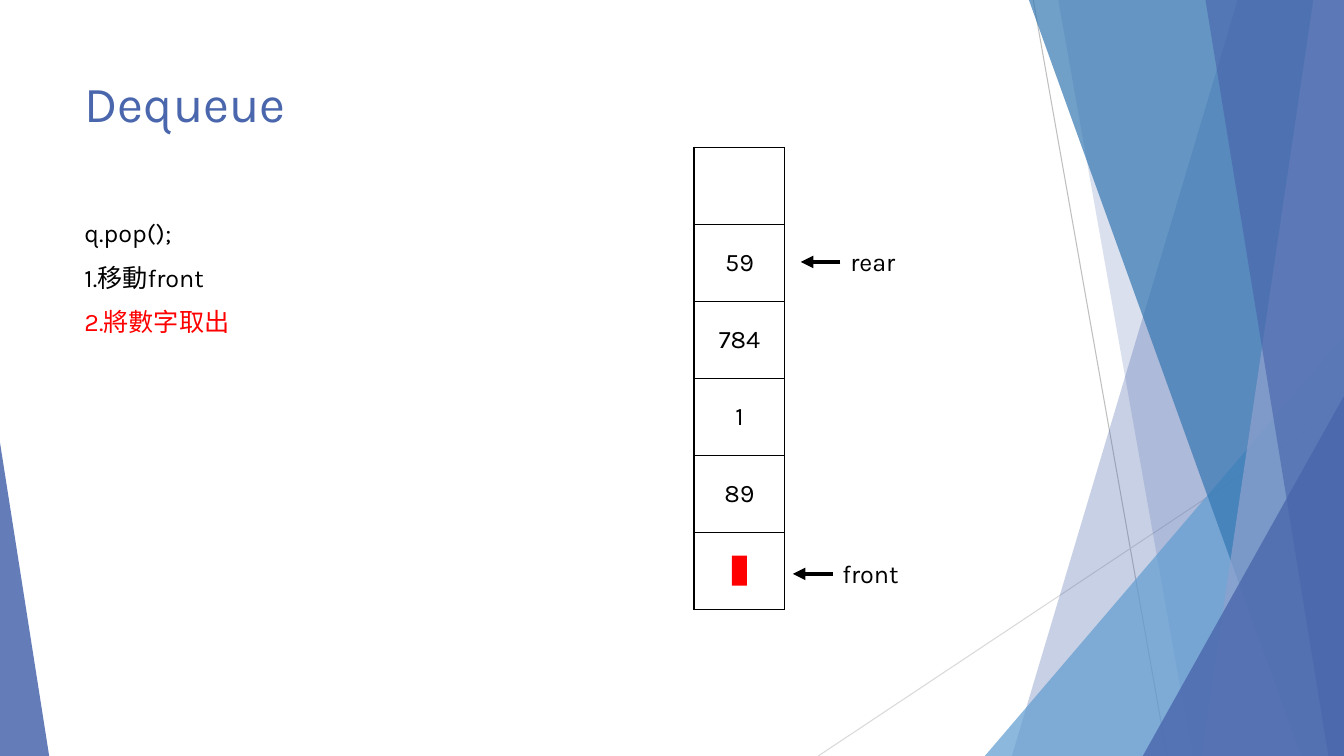
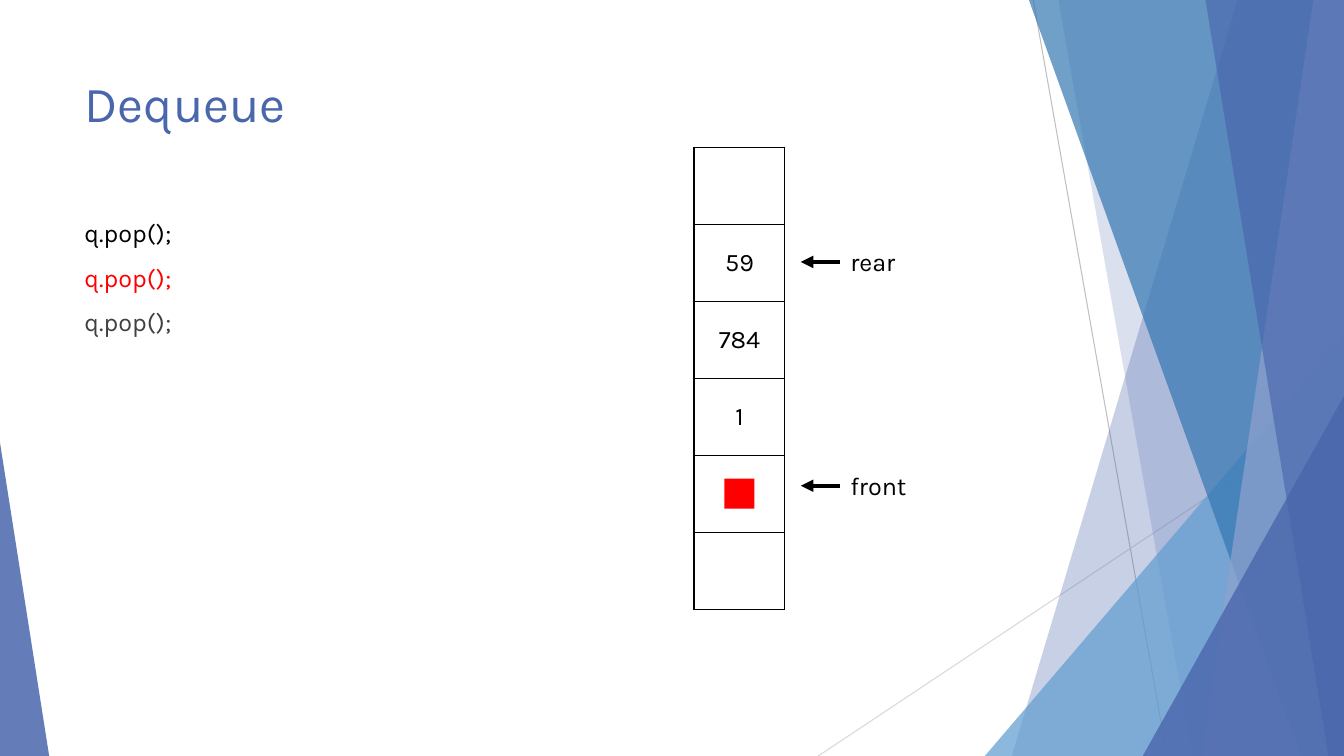
import lxml.etree
import pptx
import pptx.dml.color
import pptx.enum.shapes
import pptx.enum.text
import pptx.oxml.ns
import pptx.util

Cm = pptx.util.Cm
Pt = pptx.util.Pt
qn = pptx.oxml.ns.qn

WIDTH, HEIGHT = 33.87, 19.05
BLACK, RED, GREY, BLUE = "000000", "FF0000", "404040", "4A66AC"
FONT = "Karla"

# Background lines: start x, start y, end x, end y, colour
RAYS = [
    (26.04, 0, 29.41, HEIGHT, "BFBFBF"),
    (WIDTH, 10.24, 20.62, HEIGHT, "D9D9D9"),
]
# Panels reach the right edge: ("panel", left at top, left at bottom, colour, opacity)
# Triangles stand on the bottom edge: ("triangle", left, top, width, apex, colour, opacity)
FACETS = [
    ("panel", 31.19, 25.5, BLUE, 30),
    ("panel", 26.67, 30.05, BLUE, 20),
    ("triangle", 24.82, 8.46, 9.05, 1, "629DD1", 72),
    ("panel", 25.93, 32.79, "3477B2", 70),
    ("panel", 33.1, 30.28, "90A2CF", 70),
    ("panel", 30.38, 33.48, BLUE, 65),
    ("triangle", 28.8, 9.98, 5.07, 1, BLUE, 80),
    ("triangle", 0, 11.15, 1.24, 0, BLUE, 85),
]

# Each slide: code lines, queue cells from top to bottom,
# red block (row, width), pointers (text, x, y)
REAR = ("rear", 21.18, 6.6)
SLIDES = [
    (
        [("q.pop();", BLACK), ("1.移動front", BLACK), ("2.將數字取出", RED)],
        ["", "59", "784", "1", "89", ""],
        (5, 0.38),
        [REAR, ("front", 20.98, 14.46)],
    ),
    (
        [("q.pop();", BLACK), ("q.pop();", RED), ("q.pop();", GREY)],
        ["", "59", "784", "1", "", ""],
        (4, 0.76),
        [REAR, ("front", 21.18, 12.24)],
    ),
]
QUEUE_LEFT, QUEUE_TOP, CELL_WIDTH, CELL_HEIGHT = 17.49, 3.71, 2.29, 1.94


def rgb(value):
    return pptx.dml.color.RGBColor.from_string(value)


def set_attributes(target, values):
    for name, value in values.items():
        setattr(target, name, value)


def add_child(parent, tag, **attributes):
    return lxml.etree.SubElement(parent, qn(tag), **attributes)


class Deck:
    """Holds the shared style and the slide being built."""

    def __init__(self):
        self.presentation = pptx.Presentation()
        set_attributes(self.presentation, {
            "slide_width": Cm(WIDTH), "slide_height": Cm(HEIGHT)})
        self.slide = None

    def add_slide(self, title):
        self.slide = self.presentation.slides.add_slide(
            self.presentation.slide_layouts[6])
        for ray in RAYS:
            self.line(*ray)
        for kind, *values in FACETS:
            getattr(self, kind)(*values)
        self.text(1.88, 1.7, 23.88, 3.66, [(title, BLUE)], size=36)

    def line(self, x1, y1, x2, y2, color, width=0.75, arrow=False):
        connector = self.slide.shapes.add_connector(
            pptx.enum.shapes.MSO_CONNECTOR.STRAIGHT,
            Cm(x1), Cm(y1), Cm(x2), Cm(y2))
        connector.line.width = Pt(width)
        connector.line.color.rgb = rgb(color)
        properties = connector._element.spPr
        if arrow:
            add_child(properties.find(qn("a:ln")), "a:tailEnd", type="triangle")
        add_child(properties, "a:effectLst")

    def panel(self, top_left, bottom_left, color, opacity):
        builder = self.slide.shapes.build_freeform(Cm(top_left), 0)
        corners = [(WIDTH, 0), (WIDTH, HEIGHT), (bottom_left, HEIGHT)]
        builder.add_line_segments([(Cm(x), Cm(y)) for x, y in corners])
        self.tint(builder.convert_to_shape(), color, opacity)

    def triangle(self, left, top, width, apex, color, opacity):
        shape = self.slide.shapes.add_shape(
            pptx.enum.shapes.MSO_SHAPE.ISOSCELES_TRIANGLE,
            Cm(left), Cm(top), Cm(width), Cm(HEIGHT - top))
        shape.adjustments[0] = apex
        self.tint(shape, color, opacity)

    def tint(self, shape, color, opacity=100):
        """Give a shape a fill of some opacity, with no outline or shadow."""
        shape.shadow.inherit = False
        shape.line.fill.background()
        shape.fill.solid()
        shape.fill.fore_color.rgb = rgb(color)
        if opacity < 100:
            fill_color = shape._element.spPr.find(qn("a:solidFill"))[0]
            add_child(fill_color, "a:alpha", val=str(opacity * 1000))

    def run(self, paragraph, text, color, size=18):
        run = paragraph.add_run()
        run.text = text
        set_attributes(run.font, {"name": FONT, "size": Pt(size)})
        run.font.color.rgb = rgb(color)

    def text(self, left, top, width, height, lines, size=18):
        box = self.slide.shapes.add_textbox(
            Cm(left), Cm(top), Cm(width), Cm(height))
        frame = box.text_frame
        frame.word_wrap = True
        for index, (text, color) in enumerate(lines):
            paragraph = frame.add_paragraph() if index else frame.paragraphs[0]
            if index:
                paragraph.space_before = Pt(10)
            self.run(paragraph, text, color, size)

    def queue(self, values):
        table = self.slide.shapes.add_table(
            len(values), 1, Cm(QUEUE_LEFT), Cm(QUEUE_TOP),
            Cm(CELL_WIDTH), Cm(CELL_HEIGHT * len(values))).table
        set_attributes(table, {"first_row": False, "horz_banding": False})
        for index, value in enumerate(values):
            cell = table.cell(index, 0)
            self.border(cell)
            cell.fill.background()
            cell.vertical_anchor = pptx.enum.text.MSO_ANCHOR.MIDDLE
            if value:
                paragraph = cell.text_frame.paragraphs[0]
                paragraph.alignment = pptx.enum.text.PP_ALIGN.CENTER
                self.run(paragraph, value, BLACK)

    def border(self, cell):
        properties = cell._tc.get_or_add_tcPr()
        for side in "LRTB":
            edge = add_child(properties, f"a:ln{side}", w=str(Pt(1)))
            add_child(add_child(edge, "a:solidFill"), "a:srgbClr", val=BLACK)

    def red_block(self, row, width, height=0.76):
        """Centre a red block in a row of the queue."""
        left = QUEUE_LEFT + (CELL_WIDTH - width) / 2
        top = QUEUE_TOP + CELL_HEIGHT * row + (CELL_HEIGHT - height) / 2
        block = self.slide.shapes.add_shape(
            pptx.enum.shapes.MSO_SHAPE.RECTANGLE,
            Cm(left), Cm(top), Cm(width), Cm(height))
        self.tint(block, RED)

    def pointer(self, text, x, y):
        """Draw an arrow to the left with its label starting at x."""
        self.line(x, y, x - 1, y, BLACK, width=3, arrow=True)
        self.text(x, y - 0.52, 3.15, 1.02, [(text, BLACK)])


def main():
    deck = Deck()
    for lines, values, block, pointers in SLIDES:
        deck.add_slide("Dequeue")
        deck.text(1.88, 5.36, 9.4, 7.72, lines)
        deck.queue(values)
        deck.red_block(*block)
        for pointer in pointers:
            deck.pointer(*pointer)
    deck.presentation.save("out.pptx")


if __name__ == "__main__":
    main()
